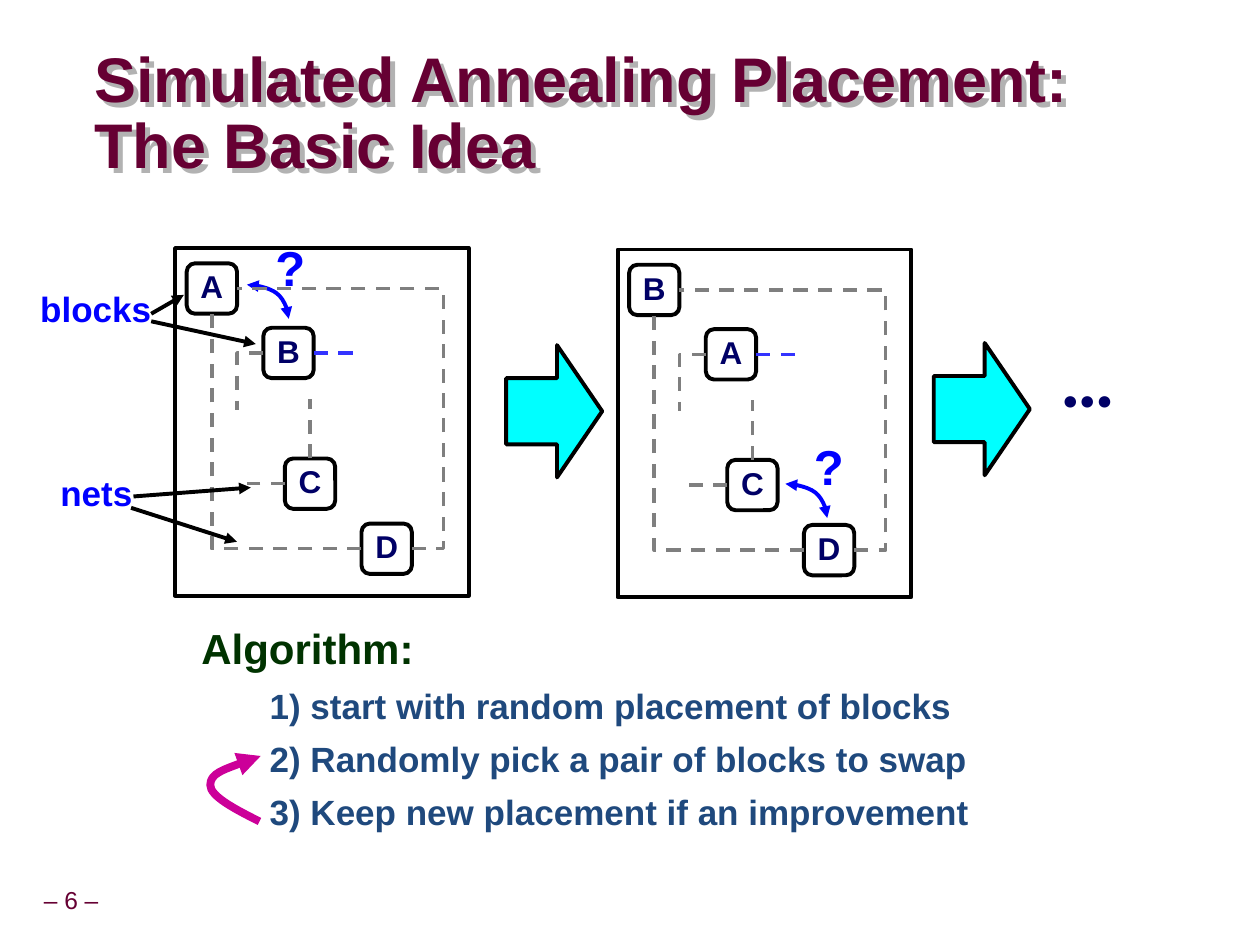
from dataclasses import dataclass

from lxml.etree import SubElement
from pptx import Presentation
from pptx.dml.color import RGBColor
from pptx.enum.dml import MSO_LINE
from pptx.enum.shapes import MSO_CONNECTOR, MSO_SHAPE
from pptx.enum.text import MSO_ANCHOR, PP_ALIGN
from pptx.oxml.ns import qn
from pptx.util import Pt


@dataclass(frozen=True)
class Theme:
    face: str = "Arial"
    wine: str = "660033"
    green: str = "003300"
    steel: str = "1F497D"
    navy: str = "000066"
    blue: str = "0000FF"
    stub: str = "3333FF"
    gray: str = "7F7F7F"
    shade: str = "B2B2B2"
    black: str = "000000"
    cyan: str = "00FFFF"
    pink: str = "CC0099"
    title: float = 36
    head: float = 24
    item: float = 20
    tag: float = 18
    mark: float = 28
    dots: float = 44
    foot: float = 14
    edge: float = 2.25
    net: float = 2
    loop: float = 4.5


T = Theme()
SIDE = 28.8  # block side
SPOTS = [(6.6, 8.7), (50.4, 45.5), (62.7, 120.2), (106.5, 157.4)]


def pts(*nums):
    return [Pt(n) for n in nums]


def style(para, size, color, bold=True, face=T.face, space=0.9):
    para.line_spacing = space
    font = para.font
    font.name, font.size, font.bold = face, Pt(size), bold
    font.color.rgb = RGBColor.from_string(color)


def stroke(line, color, width):
    line.color.rgb = RGBColor.from_string(color)
    line.width = Pt(width)


def heads(shape, *ends):
    ln = shape.element.find(".//" + qn("a:ln"))
    for end in ends:
        SubElement(ln, qn("a:" + end), type="triangle")


def label(slide, box, text, size, color, align=PP_ALIGN.LEFT, **look):
    shape = slide.shapes.add_textbox(*pts(*box))
    frame = shape.text_frame
    frame.word_wrap = False
    para = frame.paragraphs[0]
    para.text, para.alignment = text, align
    style(para, size, color, **look)
    return shape


def solid(slide, kind, box, fill=None):
    shape = slide.shapes.add_shape(kind, *pts(*box))
    shape.shadow.inherit = False
    if fill:
        shape.fill.solid()
        shape.fill.fore_color.rgb = RGBColor.from_string(fill)
    else:
        shape.fill.background()
    stroke(shape.line, T.black, T.edge)
    return shape


def block(slide, x, y, name):
    shape = solid(slide, MSO_SHAPE.ROUNDED_RECTANGLE, (x, y, SIDE, SIDE))
    frame = shape.text_frame
    frame.word_wrap = False
    frame.vertical_anchor = MSO_ANCHOR.MIDDLE
    para = frame.paragraphs[0]
    para.text, para.alignment = name, PP_ALIGN.CENTER
    style(para, T.tag, T.navy)
    return shape


def wire(slide, start, end, color, width, kind=MSO_CONNECTOR.STRAIGHT):
    line = slide.shapes.add_connector(kind, *pts(*start, *end))
    stroke(line.line, color, width)
    SubElement(line.element.spPr, qn("a:effectLst"))
    return line


def net(slide, start, end, color=T.gray, kind=MSO_CONNECTOR.STRAIGHT):
    line = wire(slide, start, end, color, T.net, kind)
    line.line.dash_style = MSO_LINE.DASH
    return line


def elbow(slide, start, end, bend=None):
    """Bend once, or twice when a bend position is given."""
    line = net(slide, start, end, kind=MSO_CONNECTOR.ELBOW)
    geom = line.element.spPr.find(qn("a:prstGeom"))
    if bend is None:
        geom.set("prst", "bentConnector2")
    else:
        guide = geom.find(qn("a:avLst"))
        if guide is None:
            guide = SubElement(geom, qn("a:avLst"))
        SubElement(guide, qn("a:gd"), name="adj1", fmla=f"val {round(bend * 100000)}")


def curve(slide, start, knots, color, width, *ends):
    """Draw cubic curves; knots hold two controls and an end for each."""
    pen = slide.shapes.build_freeform(*pts(*start))
    pen.add_line_segments([pts(*knot) for knot in knots], close=False)
    shape = pen.convert_to_shape()
    legs = list(shape.element.iter(qn("a:lnTo")))
    for i in range(0, len(legs), 3):
        cubic = SubElement(legs[i].getparent(), qn("a:cubicBezTo"))
        for leg in legs[i:i + 3]:
            cubic.append(leg[0])
            leg.getparent().remove(leg)
    shape.shadow.inherit = False
    shape.fill.background()
    stroke(shape.line, color, width)
    heads(shape, *ends)


def swap(slide, x, y):
    curve(slide, (x, y), [(x + 13, y), (x + 23.9, y + 8.7), (x + 23.9, y + 19.5)],
          T.blue, T.edge, "headEnd", "tailEnd")
    label(slide, (x + 9.2, y - 26.6, 31.7, 37.4), "?", T.mark, T.blue)


def panel(slide, x, y, names, spot):
    solid(slide, MSO_SHAPE.RECTANGLE, (x, y, 167.8, 198.7))
    cells = [(x + dx, y + dy) for dx, dy in SPOTS]
    _, two, three, _ = [block(slide, *cell, name) for cell, name in zip(cells, names)]
    swap(slide, x + spot[0], y + spot[1])

    half = SIDE / 2
    (ax, ay), (bx, by), (cx, cy), (dx, dy) = [(a + half, b + half) for a, b in cells]
    # Nets between the first and last blocks
    elbow(slide, (dx + half, dy), (ax + half, ay), -0.18)
    elbow(slide, (dx - half, dy), (ax, ay + half))
    # Open nets
    elbow(slide, (bx - half, by), (bx - half - 15.1, by + 32.4))
    for host, side, start, end, color in [
        (two, 3, (bx + half, by), (bx + half + 25.2, by), T.stub),
        (three, 0, (cx, cy - half), (cx, cy - half - 34), T.gray),
        (three, 1, (cx - half, cy), (cx - half - 21.6, cy), T.gray),
    ]:
        net(slide, start, end, color).begin_connect(host, side)


def title(slide):
    shape = label(slide, (54, 48.2, 606.2, 36), "Simulated Annealing Placement:\vThe Basic Idea",
                  T.title, T.wine, space=0.87)
    frame = shape.text_frame
    frame.word_wrap = True
    frame.vertical_anchor = MSO_ANCHOR.MIDDLE
    frame.margin_left = frame.margin_right = frame.margin_top = frame.margin_bottom = 0
    fx = SubElement(shape.element.spPr, qn("a:effectLst"))
    cast = SubElement(fx, qn("a:outerShdw"), dist=str(Pt(4)), dir="2700000", algn="ctr")
    SubElement(cast, qn("a:srgbClr"), val=T.shade)


def steps(slide):
    shape = label(slide, (108, 354.2, 477.4, 154.1), "Algorithm:", T.head, T.green, space=0.95)
    frame = shape.text_frame
    frame.word_wrap = True
    frame.paragraphs[0].space_before = Pt(15)
    for text in ("1) start with random placement of blocks",
                 "2) Randomly pick a pair of blocks to swap",
                 "3) Keep new placement if an improvement"):
        para = frame.add_paragraph()
        para.text, para.level, para.space_before = text, 1, Pt(6.2)
        style(para, T.item, T.steel, space=1.0)
        prop = para._p.get_or_add_pPr()
        prop.set("marL", str(Pt(58.5)))
        prop.set("indent", str(Pt(-19.5)))


def main():
    deck = Presentation()
    deck.slide_width, deck.slide_height = pts(720, 540)
    slide = deck.slides.add_slide(deck.slide_layouts[6])

    # Text
    label(slide, (-6.5, 504, 94.3, 22.3), "– 6 –", T.foot, T.wine, PP_ALIGN.CENTER, bold=False)
    title(slide)
    steps(slide)
    curve(slide, (148.3, 469.4), [(134, 462.2), (120.2, 455), (120.2, 448.6),
                                  (120.2, 442), (134.6, 437), (149, 432)],
          T.pink, T.loop, "tailEnd")

    # Progress arrows
    for x, y in ((289.2, 197.2), (533.6, 196)):
        arrow = solid(slide, MSO_SHAPE.RIGHT_ARROW, (x, y, 54.9, 75.6), T.cyan)
        arrow.adjustments[1] = 0.47
    label(slide, (599, 191.5, 45.4, 54.7), "…", T.dots, T.navy, face="Calibri")

    # Placements before and after the swap
    panel(slide, 100.1, 141.8, "ABCD", (41, 20.9))
    panel(slide, 352.9, 142.6, "BACD", (95.9, 133.9))

    # Callouts
    for box, text, lines in [
        ((15.8, 163.4, 77.8, 28.8), "blocks",
         [((86.4, 179.3), (105.1, 168.5)), ((86.4, 183.6), (146.2, 196.6))]),
        ((27.4, 268.6, 55.4, 28.8), "nets",
         [((74.9, 290.2), (135.4, 309.6)), ((76.3, 283.7), (143.3, 278.6))]),
    ]:
        label(slide, box, text, T.item, T.blue, PP_ALIGN.CENTER)
        for start, end in lines:
            heads(wire(slide, start, end, T.black, T.edge), "tailEnd")

    deck.save("out.pptx")


if __name__ == "__main__":
    main()
